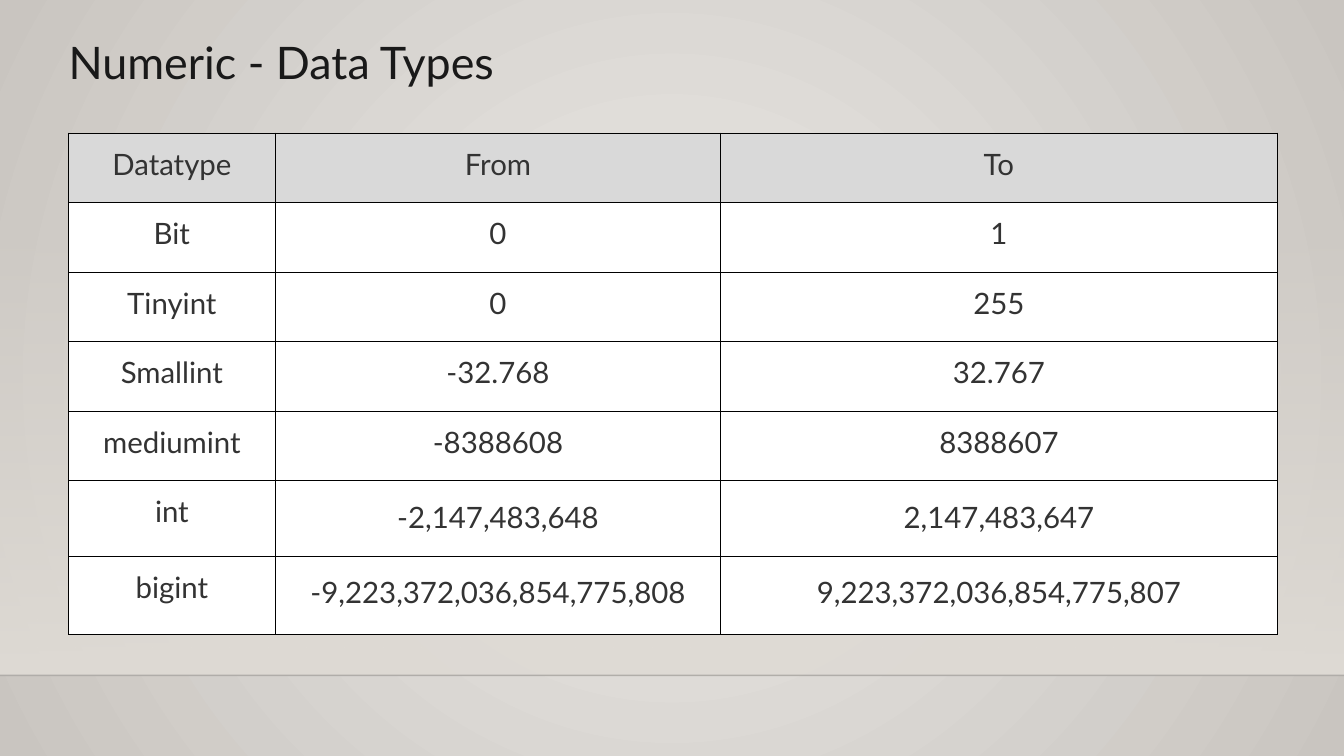
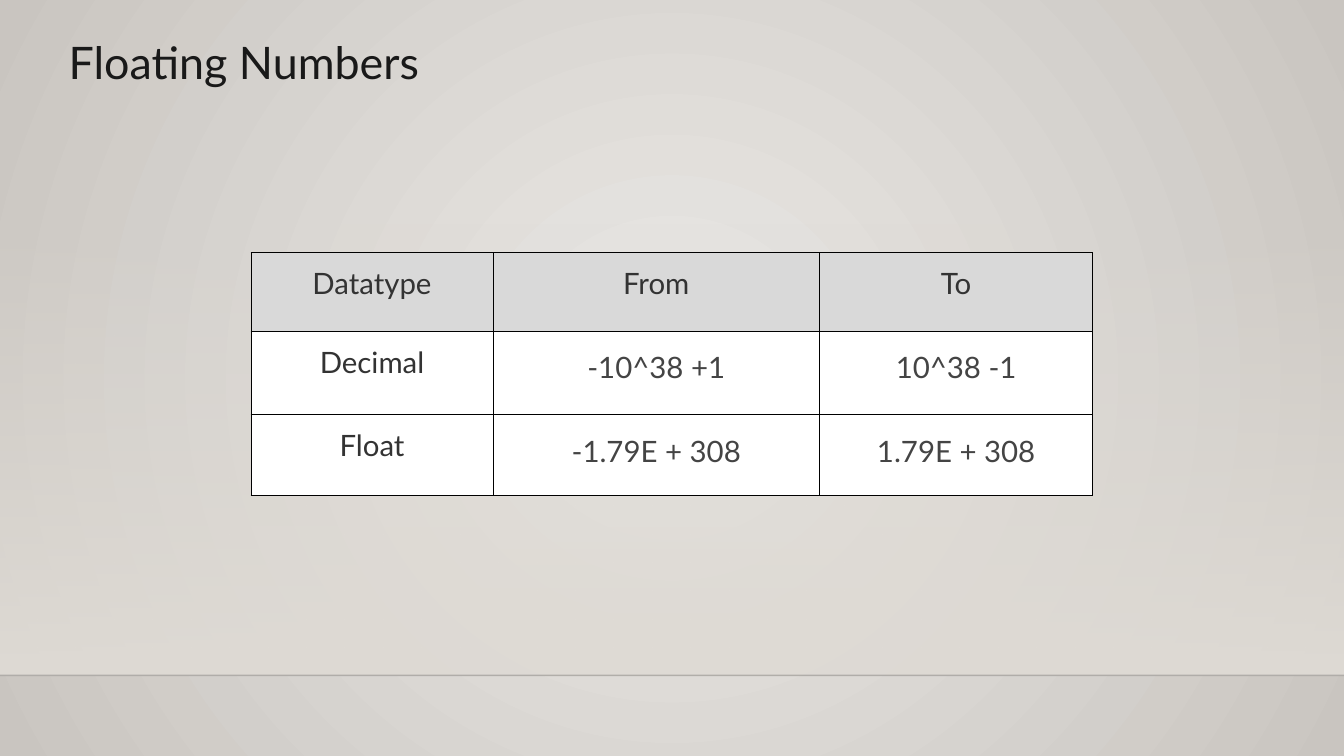
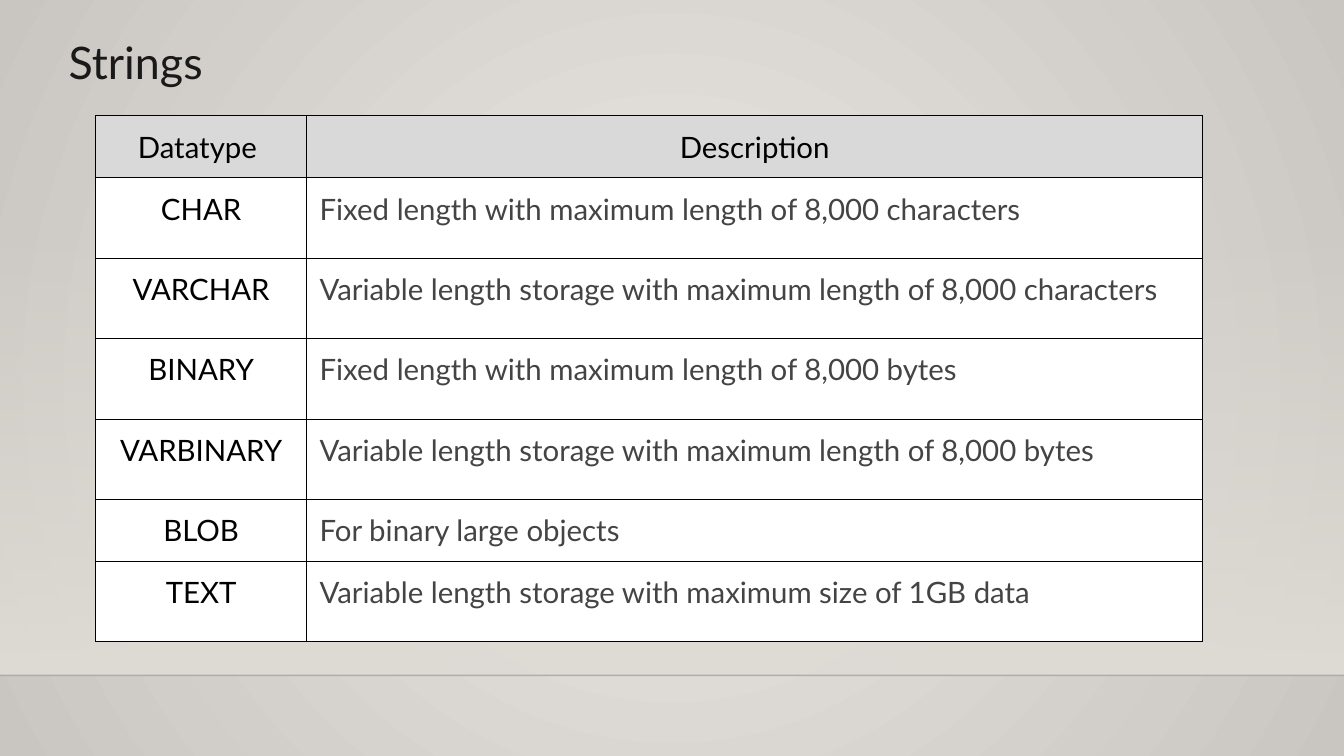
from dataclasses import dataclass

from pptx import Presentation
from pptx.dml.color import RGBColor
from pptx.enum.shapes import MSO_CONNECTOR, MSO_SHAPE
from pptx.enum.text import PP_ALIGN
from pptx.oxml.ns import qn
from pptx.oxml.xmlchemy import OxmlElement
from pptx.slide import Slide, SlideMaster
from pptx.table import _Cell
from pptx.text.text import _Paragraph
from pptx.util import Inches, Length, Pt


@dataclass(frozen=True)
class Theme:
    font: str = "Lato"
    title: int = 32
    body: int = 21
    rule: float = 0.75
    pad: float = 0.13
    loose: float = 1.15
    glow: str = "EBE9E6"
    edge: str = "C9C5C0"
    band: str = "DFDBD5"
    floor: str = "000001"
    head: str = "191919"
    dark: str = "333333"
    soft: str = "444444"
    black: str = "000000"
    white: str = "FFFFFF"
    grey: str = "D9D9D9"


@dataclass(frozen=True)
class Page:
    """A title and its table; lengths are percent of the slide's size.

    Rows from `loose` on have wider line spacing after the first column.
    """
    title: str
    left: float
    top: float
    cols: list[float]
    rows: list[float]
    cells: list[list[str]]
    key: str
    ink: str
    align: PP_ALIGN = PP_ALIGN.CENTER
    loose: int = 99


T = Theme()
WIDE, HIGH = Inches(13.33), Inches(7.5)
BAND, FLOOR = 29.47, 89.33
SIDES = ("left", "top", "right", "bottom")

PAGES = [
    Page("Numeric - Data Types", 5.1, 17.6,
         [15.38, 33.15, 41.4], [9.2] * 5 + [10, 10.4],
         [["Datatype", "From", "To"],
          ["Bit", "0", "1"],
          ["Tinyint", "0", "255"],
          ["Smallint", "-32.768", "32.767"],
          ["mediumint", "-8388608", "8388607"],
          ["int", "-2,147,483,648", "2,147,483,647"],
          ["bigint", "-9,223,372,036,854,775,808", "9,223,372,036,854,775,807"]],
         T.dark, T.dark, loose=5),
    Page("Floating Numbers", 18.68, 33.4,
         [18, 24.3, 20.33], [10.4, 11.07, 10.67],
         [["Datatype", "From", "To"],
          ["Decimal", "-10^38 +1", "10^38 -1"],
          ["Float", "-1.79E + 308", "1.79E + 308"]],
         T.dark, T.soft, loose=1),
    Page("Strings", 7.13, 15.33,
         [15.68, 66.69], [8.2] + [10.63] * 4 + [8.2, 10.63],
         [["Datatype ", "Description"],
          ["CHAR", "Fixed length with maximum length of 8,000 characters"],
          ["VARCHAR", "Variable length storage with maximum length of 8,000 characters"],
          ["BINARY", "Fixed length with maximum length of 8,000 bytes"],
          ["VARBINARY", "Variable length storage with maximum length of 8,000 bytes"],
          ["BLOB", "For binary large objects"],
          ["TEXT", "Variable length storage with maximum size of 1GB data"]],
         T.black, T.soft, PP_ALIGN.LEFT),
]


def across(part: float) -> Length:
    return Length(round(WIDE * part / 100))


def down(part: float) -> Length:
    return Length(round(HIGH * part / 100))


def rgb(tone: str) -> RGBColor:
    return RGBColor.from_string(tone)


def node(tag: str, **attrs: str):
    item = OxmlElement(tag)
    for name, value in attrs.items():
        item.set(name, value)
    return item


def fade(tint, part: int) -> None:
    """Set the opacity of a colour element, in percent."""
    tint.append(node("a:alpha", val=str(part * 1000)))


def blend(fill, tones: tuple[str, str]) -> None:
    fill.gradient()
    for stop, tone in zip(fill.gradient_stops, tones):
        stop.color.rgb = rgb(tone)


def style(para: _Paragraph, size: int, tone: str) -> None:
    para.font.name, para.font.size = T.font, Pt(size)
    para.font.color.rgb = rgb(tone)


def inset(box) -> None:
    for side in SIDES:
        setattr(box, f"margin_{side}", Inches(T.pad))


def backdrop(master: SlideMaster) -> None:
    blend(master.background.fill, (T.glow, T.edge))
    grad = next(master.element.iter(qn("a:gradFill")))
    grad.remove(grad.find(qn("a:lin")))
    ring = node("a:path", path="circle")
    ring.append(node("a:fillToRect", l="50000", t="50000", r="50000", b="50000"))
    grad.append(ring)


def stage(slide: Slide) -> None:
    """Draw the band that fades in downwards and the line at its foot."""
    band = slide.shapes.add_shape(
        MSO_SHAPE.RECTANGLE, 0, down(BAND), WIDE, down(FLOOR - BAND))
    band.shadow.inherit = False
    band.line.fill.background()
    blend(band.fill, (T.band, T.band))
    band.fill.gradient_angle = 270
    fade(next(band.element.iter(qn("a:srgbClr"))), 0)

    line = slide.shapes.add_connector(
        MSO_CONNECTOR.STRAIGHT, 0, down(FLOOR), WIDE, down(FLOOR))
    line.line.color.rgb = rgb(T.floor)
    line.line.width = Pt(1)
    fade(next(line.element.iter(qn("a:srgbClr"))), 20)
    line.element.spPr.append(node("a:effectLst"))


def heading(slide: Slide, text: str) -> None:
    box = slide.shapes.add_textbox(
        across(4.13), down(2.8), across(81.47), down(10.27))
    frame = box.text_frame
    frame.word_wrap = True
    inset(frame)
    frame.text = text
    style(frame.paragraphs[0], T.title, T.head)


def border(cell: _Cell) -> None:
    props = cell._tc.get_or_add_tcPr()
    for spot, side in enumerate("LRTB"):
        edge = node(f"a:ln{side}", w=str(Pt(T.rule)))
        fill = node("a:solidFill")
        fill.append(node("a:srgbClr", val=T.black))
        edge.append(fill)
        props.insert(spot, edge)


def grid(slide: Slide, page: Page) -> None:
    table = slide.shapes.add_table(
        len(page.rows), len(page.cols), across(page.left), down(page.top),
        across(sum(page.cols)), down(sum(page.rows))).table
    table.first_row = table.horz_banding = False
    for col, part in zip(table.columns, page.cols):
        col.width = across(part)
    for row, part in zip(table.rows, page.rows):
        row.height = down(part)
    for r, texts in enumerate(page.cells):
        for c, text in enumerate(texts):
            cell = table.cell(r, c)
            label = r == 0 or c == 0
            inset(cell)
            cell.fill.solid()
            cell.fill.fore_color.rgb = rgb(T.white if r else T.grey)
            border(cell)
            cell.text = text
            para = cell.text_frame.paragraphs[0]
            style(para, T.body, page.key if label else page.ink)
            para.alignment = PP_ALIGN.CENTER if label else page.align
            if c and r >= page.loose:
                para.line_spacing = T.loose


def main() -> None:
    deck = Presentation()
    deck.slide_width, deck.slide_height = WIDE, HIGH
    backdrop(deck.slide_master)
    for page in PAGES:
        slide = deck.slides.add_slide(deck.slide_layouts[6])
        stage(slide)
        heading(slide, page.title)
        grid(slide, page)
    deck.save("out.pptx")


if __name__ == "__main__":
    main()
